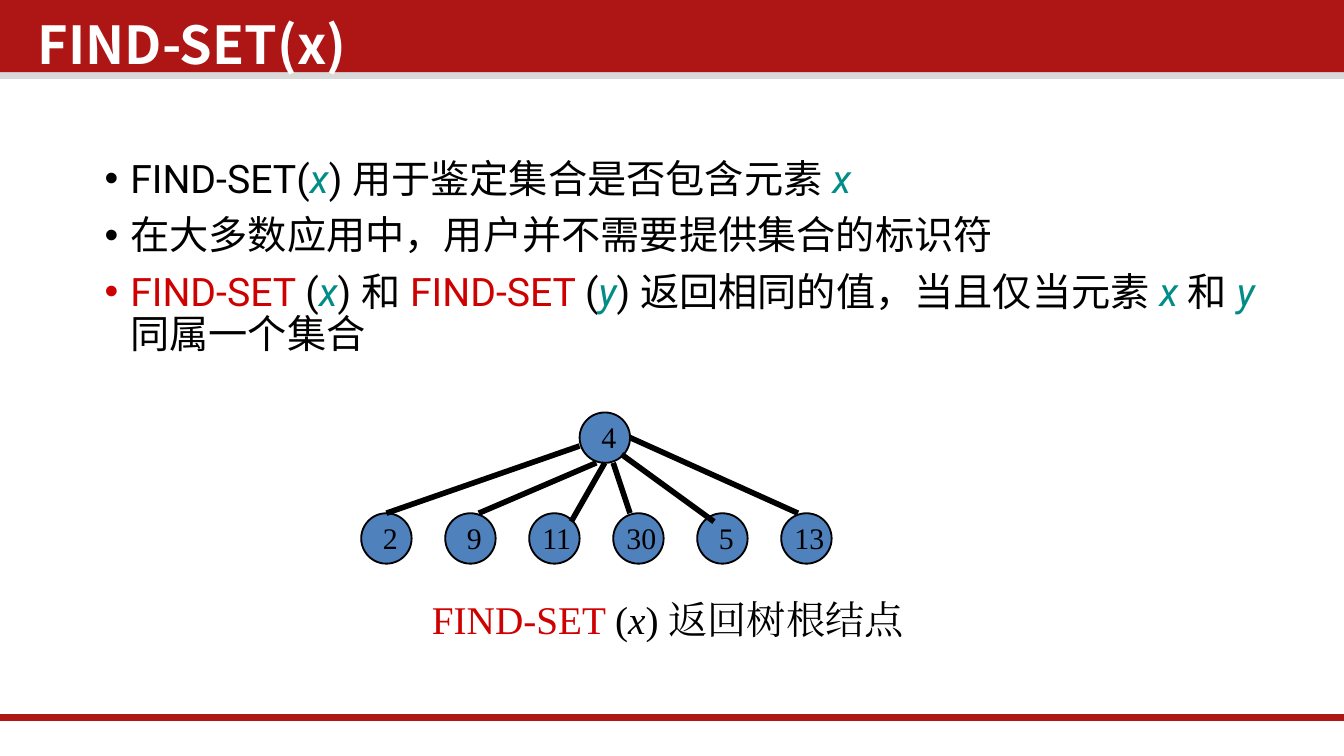
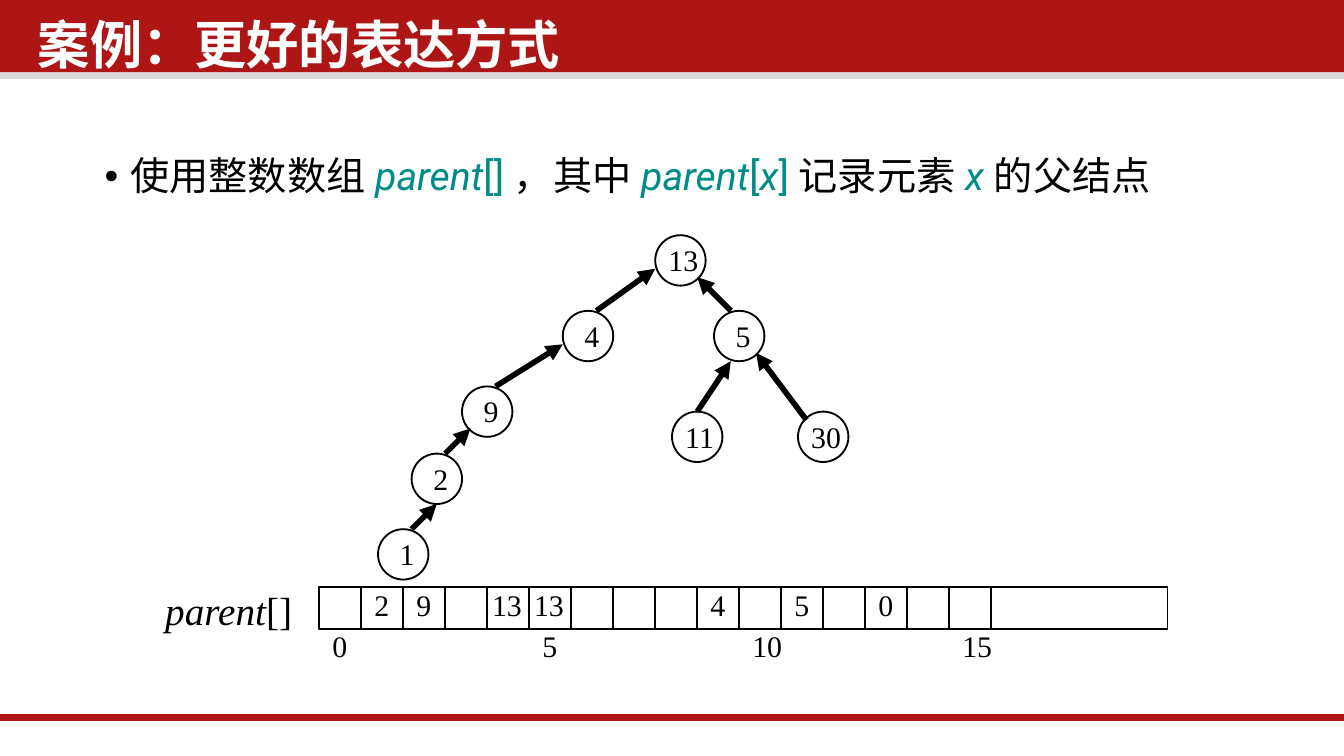
from collections import namedtuple

from lxml.etree import SubElement
from pptx import Presentation
from pptx.dml.color import RGBColor
from pptx.enum.shapes import MSO_CONNECTOR, MSO_SHAPE
from pptx.enum.text import MSO_ANCHOR, MSO_AUTO_SIZE, PP_ALIGN
from pptx.oxml.ns import qn
from pptx.util import Inches, Pt

COLORS = {"band": "AE1616", "strip": "D9D9D9", "white": "FFFFFF", "black": "000000",
          "red": "CE0000", "teal": "008C87", "node": "4F81BD"}
FONTS = {"title": "Noto Sans CJK SC", "body": "Roboto", "figure": "Times New Roman"}
COLUMNS, ROWS = 160, 90
UNIT = Inches(10) / COLUMNS
NODE, CELL = 6, 5

Box = namedtuple("Box", "left top width height")

PLAIN = {"color": "black"}
ITALIC = {"color": "black", "italic": True}
RED = {"color": "red"}
TEAL = {"color": "teal"}
VARIABLE = {"color": "teal", "italic": True}

BAND = Box(0, 0, COLUMNS, 8.6)
STRIP = Box(0, 8, COLUMNS, 1.4)
TITLE = Box(3.4, 1, 122.2, 9.4)
FOOTER_ROW = 85.4


def grid(*lengths):
    """Turn grid units into slide lengths."""
    return [round(length * UNIT) for length in lengths]


def inside(box, left, top, width=0, height=0):
    """Give a box placed relative to the corner of another one."""
    return Box(box.left + left, box.top + top, width, height)


def rgb(name):
    """Look up a colour of the palette."""
    return RGBColor.from_string(COLORS[name])


def apply(target, values):
    """Set every attribute named in a dict of format values."""
    for name, value in values.items():
        setattr(target, name, value)


def add_figure(shapes, kind, box, fill=None, line=None):
    """Draw a preset shape with an optional fill and outline."""
    figure = shapes.add_shape(kind, *grid(*box))
    figure.shadow.inherit = False
    if fill:
        figure.fill.solid()
        figure.fill.fore_color.rgb = rgb(fill)
    else:
        figure.fill.background()
    if line:
        figure.line.color.rgb = rgb(line)
        figure.line.width = Pt(1)
    else:
        figure.line.fill.background()


def add_line(shapes, start, end, color="black", width=3, arrow=False):
    """Draw a straight line, with an arrowhead at its start if asked."""
    line = shapes.add_connector(MSO_CONNECTOR.STRAIGHT, *grid(*start, *end))
    line.line.color.rgb = rgb(color)
    line.line.width = Pt(width)
    if arrow:
        SubElement(line.line._get_or_add_ln(), qn("a:headEnd"), type="triangle")
    SubElement(line._element.spPr, qn("a:effectLst"))


def add_text(shapes, box, paragraphs, font, size, frame_format=None, para_format=None, bold=None, bullet=False):
    """Write paragraphs made of (text, style) spans in a text box."""
    frame = shapes.add_textbox(*grid(*box)).text_frame
    apply(frame, {"word_wrap": True, **(frame_format or {})})
    for index, spans in enumerate(paragraphs):
        para = frame.paragraphs[0] if index == 0 else frame.add_paragraph()
        apply(para, para_format or {})
        if bullet:
            properties = para._p.get_or_add_pPr()
            properties.set("marL", str(Inches(0.19)))
            properties.set("indent", str(-Inches(0.19)))
            SubElement(properties, qn("a:buFont"), typeface="Arial")
            SubElement(properties, qn("a:buChar"), char="•")
        for text, style in spans:
            span = para.add_run()
            span.text = text
            apply(span.font, {"name": FONTS[font], "size": Pt(size), "bold": bold,
                              "italic": style.get("italic", False)})
            span.font.color.rgb = rgb(style["color"])
            SubElement(span._r.get_or_add_rPr(), qn("a:ea"), typeface=FONTS[font])


def add_label(shapes, box, spans, size=16, align=PP_ALIGN.LEFT):
    """Write one line of figure text."""
    add_text(shapes, box, [spans], "figure", size,
             {"auto_size": MSO_AUTO_SIZE.SHAPE_TO_FIT_TEXT}, {"alignment": align})


def add_page(deck, title):
    """Add a slide with the shared bands, footer line and title."""
    page = deck.slides.add_slide(deck.slide_layouts[6])
    add_figure(page.shapes, MSO_SHAPE.RECTANGLE, STRIP, "strip")
    add_figure(page.shapes, MSO_SHAPE.RECTANGLE, BAND, "band")
    add_line(page.shapes, (0, FOOTER_ROW), (COLUMNS, FOOTER_ROW), "band", 4)
    margins = {"margin_left": Inches(0.07), "margin_right": Inches(0.07),
               "margin_top": Inches(0.04), "margin_bottom": Inches(0.04)}
    add_text(page.shapes, TITLE, [[(title, {"color": "white"})]], "title", 28,
             {"vertical_anchor": MSO_ANCHOR.MIDDLE, **margins},
             {"line_spacing": 0.9, "space_before": Pt(7.5)}, bold=True)
    return page


def add_bullets(page, box, paragraphs):
    """Write the bulleted body text."""
    add_text(page.shapes, box, paragraphs, "body", 21,
             para_format={"line_spacing": 0.9, "space_before": Pt(7.5)}, bullet=True)


def add_tree(page, box, nodes, edges, fill=None, arrow=False):
    """Draw a tree of numbered circles and the edges between them."""
    shapes = page.shapes.add_group_shape().shapes
    for number, (left, top) in nodes.items():
        add_figure(shapes, MSO_SHAPE.OVAL, inside(box, left, top, NODE, NODE), fill, "black")
        shift, width = (1, 4) if number < 10 else (0, 9)
        add_label(shapes, inside(box, left + shift, top, width, 5.9), [(str(number), PLAIN)])
    for start, end in edges:
        add_line(shapes, inside(box, *start)[:2], inside(box, *end)[:2], arrow=arrow)


def add_array(page, box, name, values, count):
    """Draw a row of cells with its name, values and every fifth index."""
    shapes = page.shapes
    for index in range(count):
        add_figure(shapes, MSO_SHAPE.RECTANGLE, inside(box, index * CELL, 0, CELL, CELL), line="black")
    used = count * CELL
    add_figure(shapes, MSO_SHAPE.RECTANGLE, inside(box, used, 0, box.width - used, CELL), line="black")
    add_label(shapes, inside(box, -19.9, -0.9, 19.8, 7.2), name, 21)
    for index, value in values.items():
        shift = 0 if value < 10 else -1
        add_label(shapes, inside(box, index * CELL + shift, -0.9, 9, 5.9), [(str(value), PLAIN)])
    for index in range(0, count, 5):
        width = CELL if index < 10 else 8
        add_label(shapes, inside(box, index * CELL, 4, width, 5.9), [(str(index), PLAIN)])


def build_find_set(deck):
    """Build the slide about FIND-SET."""
    page = add_page(deck, "FIND-SET(x)")
    add_bullets(page, Box(10.9, 18.2, 142.1, 55.5), [
        [("FIND-SET(", PLAIN), ("x", VARIABLE), (") 用于鉴定集合是否包含元素 ", PLAIN), ("x", VARIABLE)],
        [("在大多数应用中，用户并不需要提供集合的标识符", PLAIN)],
        [("FIND-SET ", RED), ("(", PLAIN), ("x", VARIABLE), (") 和 ", PLAIN),
         ("FIND-SET ", RED), ("(", PLAIN), ("y", VARIABLE),
         (") 返回相同的值，当且仅当元素 ", PLAIN), ("x ", VARIABLE), ("和 ", PLAIN),
         ("y ", VARIABLE), ("同属一个集合", PLAIN)],
    ])
    children = {number: (10 * index, 12) for index, number in enumerate((2, 9, 11, 30, 5, 13))}
    edges = [((26, 4), (3, 12)), ((28, 6), (14, 12)), ((29, 6), (25, 13)),
             ((30, 6), (32, 12)), ((31, 5), (42, 13)), ((32, 3), (52, 12))]
    add_tree(page, Box(43, 49.1, 56, 18), {4: (26, 0), **children}, edges, "node")
    add_label(page.shapes, Box(29, 70.1, 101, 7.2),
              [("FIND-SET ", RED), ("(", PLAIN), ("x", ITALIC), (") 返回树根结点", PLAIN)],
              21, PP_ALIGN.CENTER)


def build_parent_array(deck):
    """Build the slide about the parent array."""
    page = add_page(deck, "案例：更好的表达方式")
    add_bullets(page, Box(10.9, 17.9, 142.1, 55.5), [
        [("使用整数数组 ", PLAIN), ("parent", VARIABLE), ("[] ", TEAL), ("，其中 ", PLAIN),
         ("parent", VARIABLE), ("[", TEAL), ("x", VARIABLE), ("] ", TEAL),
         ("记录元素 ", PLAIN), ("x", VARIABLE), (" 的父结点", PLAIN)],
    ])
    nodes = {13: (33, 0), 4: (22, 9), 5: (40, 9), 9: (10, 18),
             11: (35, 21), 30: (50, 21), 2: (4, 26), 1: (0, 35)}
    edges = [((33, 4), (26, 9)), ((22, 13), (14, 18)), ((38, 5), (42, 9)), ((11, 23), (8, 26)),
             ((42, 15), (38, 21)), ((45, 14), (51, 22)), ((7, 32), (4, 35))]
    add_tree(page, Box(45, 28, 56, 41), nodes, edges, arrow=True)
    add_array(page, Box(38, 69.9, 101, CELL), [("parent", ITALIC), ("[]", PLAIN)],
              {1: 2, 2: 9, 4: 13, 5: 13, 9: 4, 11: 5, 13: 0}, 16)


def main():
    """Build the deck and save it."""
    deck = Presentation()
    deck.slide_width, deck.slide_height = grid(COLUMNS, ROWS)
    build_find_set(deck)
    build_parent_array(deck)
    deck.save("out.pptx")


if __name__ == "__main__":
    main()
